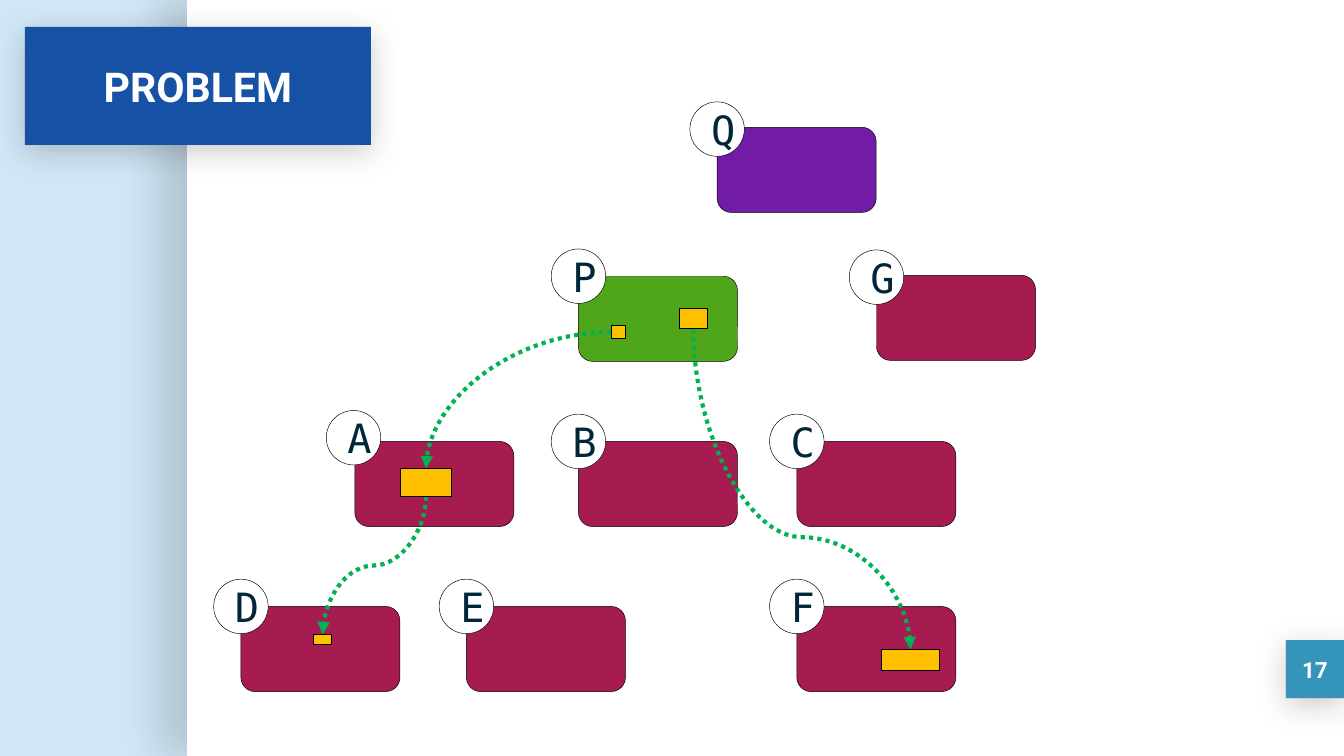
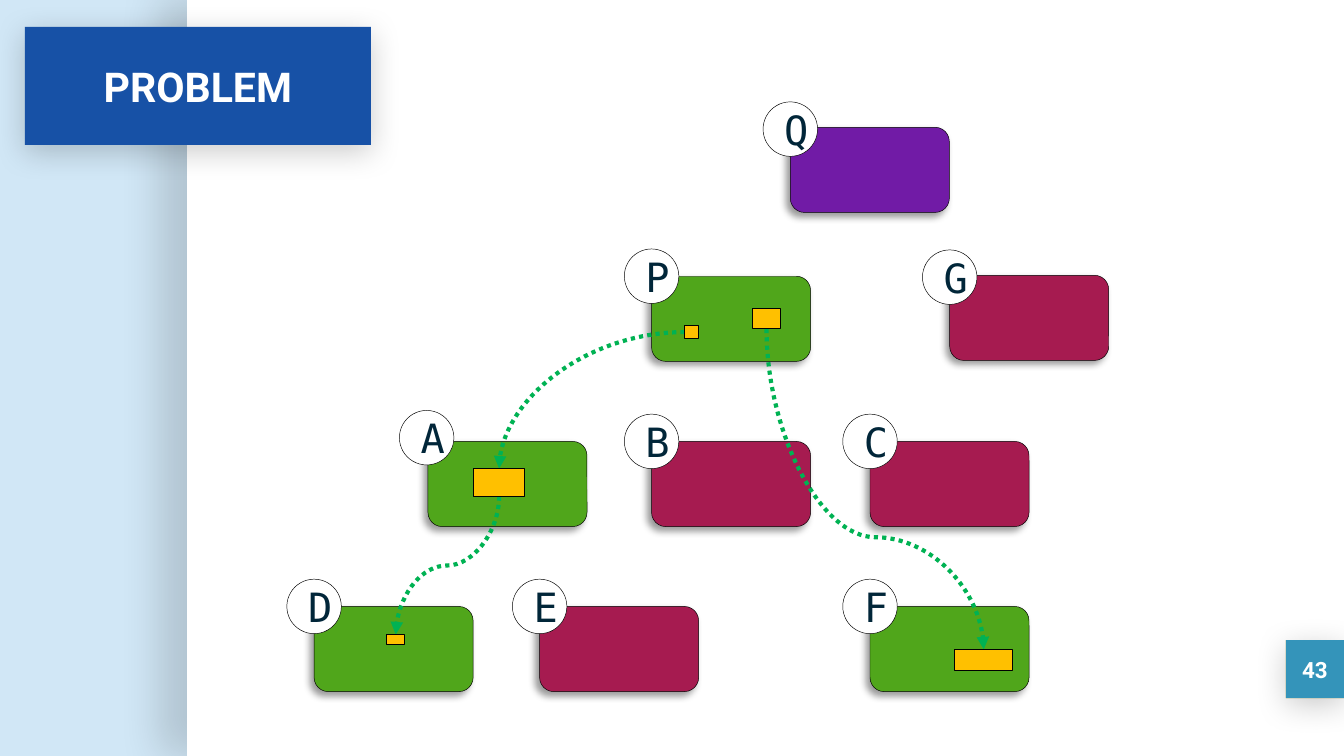
from lxml.etree import SubElement
from pptx import Presentation
from pptx.dml.color import RGBColor
from pptx.enum.dml import MSO_LINE
from pptx.enum.shapes import MSO_CONNECTOR, MSO_SHAPE
from pptx.enum.text import MSO_ANCHOR, MSO_AUTO_SIZE, PP_ALIGN
from pptx.oxml.ns import qn
from pptx.util import Pt

COLORS = {
    "background": "D1E7F6", "panel": "FFFFFF", "title": "1751A6",
    "tab": "3494BA", "tab_edge": "FFB000", "light_text": "FFFFFF",
    "query": "711BA6", "visited": "50A61B", "plain": "A61B50",
    "badge": "FFFFFF", "letter": "012639", "marker": "FFC000",
    "outline": "000000", "arrow": "00B253", "shadow": "000000",
}
SANS, MONO = "Roboto", "DejaVu Sans Mono"

# Shadows: opacity %, blur, distance, direction in degrees
PANEL_SHADOW = (15, 22.5, 15, 180)
TITLE_SHADOW = (20, 16.9, 3.8, 90)
NODE_SHADOW = (40, 4, 3, 135)

# Tree layout, in points
WIDTH, HEIGHT = 720, 405
NODE_W, NODE_H, BADGE = 85.2, 45.6, 29.2
ROW_TOP, ROW_MIDDLE, ROW_LOW, ROW_BOTTOM = 68.2, 148, 236.5, 324.9
NODES = {
    "P": (309.9, ROW_MIDDLE), "A": (190.1, ROW_LOW), "B": (309.9, ROW_LOW),
    "C": (426.9, ROW_LOW), "D": (129.1, ROW_BOTTOM), "E": (249.9, ROW_BOTTOM),
    "F": (426.9, ROW_BOTTOM), "Q": (384.2, ROW_TOP), "G": (469.6, 147.5),
}
BADGE_NUDGE = {"A": (-0.7, -2), "Q": (0, 1), "G": (0, 1)}
MARKERS = {
    "A": (214.5, 251, 27.4, 15),
    "P small": (327.6, 174.4, 7.6, 7),
    "D": (167.9, 339.9, 9.8, 5.5),
    "P large": (363.9, 165.4, 15.1, 10.8),
    "F": (472.2, 347.9, 31.2, 11.4),
}


class Deck:
    def __init__(self):
        self.prs = Presentation()
        self.prs.slide_width, self.prs.slide_height = Pt(WIDTH), Pt(HEIGHT)
        self.fill(self.prs.slide_master.background, "background")
        self.slide = None

    def fill(self, target, color):
        target.fill.solid()
        target.fill.fore_color.rgb = RGBColor.from_string(COLORS[color])

    def style(self, shape, color, line=None, shadow=None):
        self.fill(shape, color)
        if line:
            shape.line.color.rgb = RGBColor.from_string(COLORS["outline"])
            shape.line.width = Pt(line)
        else:
            shape.line.fill.background()
        shape.shadow.inherit = False
        if shadow:
            alpha, blur, distance, angle = shadow
            effects = shape._element.spPr.find(qn("a:effectLst"))
            outer = SubElement(effects, qn("a:outerShdw"), blurRad=str(Pt(blur)),
                               dist=str(Pt(distance)), dir=str(angle * 60000),
                               algn="ctr", rotWithShape="0")
            tint = SubElement(outer, qn("a:srgbClr"), val=COLORS["shadow"])
            SubElement(tint, qn("a:alpha"), val=str(alpha * 1000))

    def box(self, kind, bounds, color, line=None, shadow=None):
        shape = self.slide.shapes.add_shape(kind, *map(Pt, bounds))
        self.style(shape, color, line, shadow)
        return shape

    def text(self, shape, words, size, font=SANS, color="light_text", bold=True):
        frame = shape.text_frame
        frame.word_wrap = True
        frame.auto_size = MSO_AUTO_SIZE.NONE
        frame.vertical_anchor = MSO_ANCHOR.MIDDLE
        paragraph = frame.paragraphs[0]
        paragraph.alignment = PP_ALIGN.CENTER
        run = paragraph.add_run()
        run.text = words
        run.font.name, run.font.size, run.font.bold = font, Pt(size), bold
        run.font.color.rgb = RGBColor.from_string(COLORS[color])

    def add_slide(self, heading, number):
        self.slide = self.prs.slides.add_slide(self.prs.slide_layouts[5])
        # White panel and number tab
        self.box(MSO_SHAPE.RECTANGLE, (100.2, 0, WIDTH - 100.2, HEIGHT), "panel",
                 shadow=PANEL_SHADOW)
        tab = (688.9, 343, 31.1, 31.1)
        self.box(MSO_SHAPE.RECTANGLE, tab, "tab_edge", shadow=TITLE_SHADOW)
        self.text(self.box(MSO_SHAPE.RECTANGLE, tab, "tab"), number, 12)
        # Title, brought in front of the panel
        title = self.slide.shapes.title
        self.slide.shapes._spTree.append(title._element)
        title.left, title.top, title.width, title.height = map(
            Pt, (13.3, 14.4, 185.4, 63.2))
        self.style(title, "title", shadow=TITLE_SHADOW)
        self.text(title, heading, 22)

    def node(self, left, top, color, shadow):
        self.box(MSO_SHAPE.ROUNDED_RECTANGLE, (left, top, NODE_W, NODE_H), color,
                 0.25, shadow)

    def badge(self, letter, x, y):
        circle = self.box(MSO_SHAPE.OVAL, (x - BADGE / 2, y - BADGE / 2, BADGE, BADGE),
                          "badge", 0.25)
        self.text(circle, letter, 21.6, MONO, "letter", False)

    def marker(self, bounds):
        self.box(MSO_SHAPE.RECTANGLE, bounds, "marker", 0.5)

    def curve(self, x1, y1, x2, y2):
        arrow = self.slide.shapes.add_connector(
            MSO_CONNECTOR.CURVE, *map(Pt, (x1, y1, x2, y2)))
        arrow.line.color.rgb = RGBColor.from_string(COLORS["arrow"])
        arrow.line.width = Pt(2.25)
        arrow.line.dash_style = MSO_LINE.ROUND_DOT
        properties = arrow._element.spPr
        SubElement(properties.find(qn("a:ln")), qn("a:tailEnd"), type="triangle")
        SubElement(properties, qn("a:effectLst"))
        return properties

    def corner_curve(self, x1, y1, x2, y2):
        """Leave sideways, arrive from above."""
        properties = self.curve(x1, y1, x2, y2)
        properties.find(qn("a:prstGeom")).set("prst", "curvedConnector2")

    def falling_curve(self, x1, y1, x2, y2, bend=0.5):
        """Leave downwards, arrive from above: a sideways curve, turned."""
        x, y = (x1 + x2) / 2, (y1 + y2) / 2
        across, down = abs(x2 - x1) / 2, (y2 - y1) / 2
        side, turn = (1, 270) if x2 > x1 else (-1, 90)
        properties = self.curve(x + side * down, y - across,
                                x - side * down, y + across)
        properties.find(qn("a:xfrm")).set("rot", str(turn * 60000))
        guides = properties.find(qn("a:prstGeom")).find(qn("a:avLst"))
        SubElement(guides, qn("a:gd"), name="adj1", fmla=f"val {round(bend * 100000)}")

    def tree(self, shift, visited, shadow=None):
        colors = {"Q": "query"} | dict.fromkeys(visited, "visited")
        markers = {name: (left + shift, top, width, height)
                   for name, (left, top, width, height) in MARKERS.items()}

        def upper(name):
            left, top, width, _ = markers[name]
            return left + width / 2, top

        def lower(name):
            x, top = upper(name)
            return x, top + markers[name][3]

        # Nodes and their letters
        for letter, (left, top) in NODES.items():
            self.node(left + shift, top, colors.get(letter, "plain"), shadow)
        for letter, (left, top) in NODES.items():
            dx, dy = BADGE_NUDGE.get(letter, (0, 0))
            self.badge(letter, left + shift + dx, top + dy)
        # Pointers between markers
        left, top, _, height = markers["P small"]
        self.corner_curve(left, top + height / 2, *upper("A"))
        self.falling_curve(*lower("A"), *upper("D"))
        self.falling_curve(*lower("P large"), *upper("F"), bend=0.65)
        for bounds in markers.values():
            self.marker(bounds)


def main():
    deck = Deck()
    # Only the parent visited
    deck.add_slide("PROBLEM", "17")
    deck.tree(0, "P")
    # Pointer targets visited as well
    deck.add_slide("PROBLEM", "43")
    deck.tree(39.2, "PADF", NODE_SHADOW)
    deck.prs.save("out.pptx")


if __name__ == "__main__":
    main()
